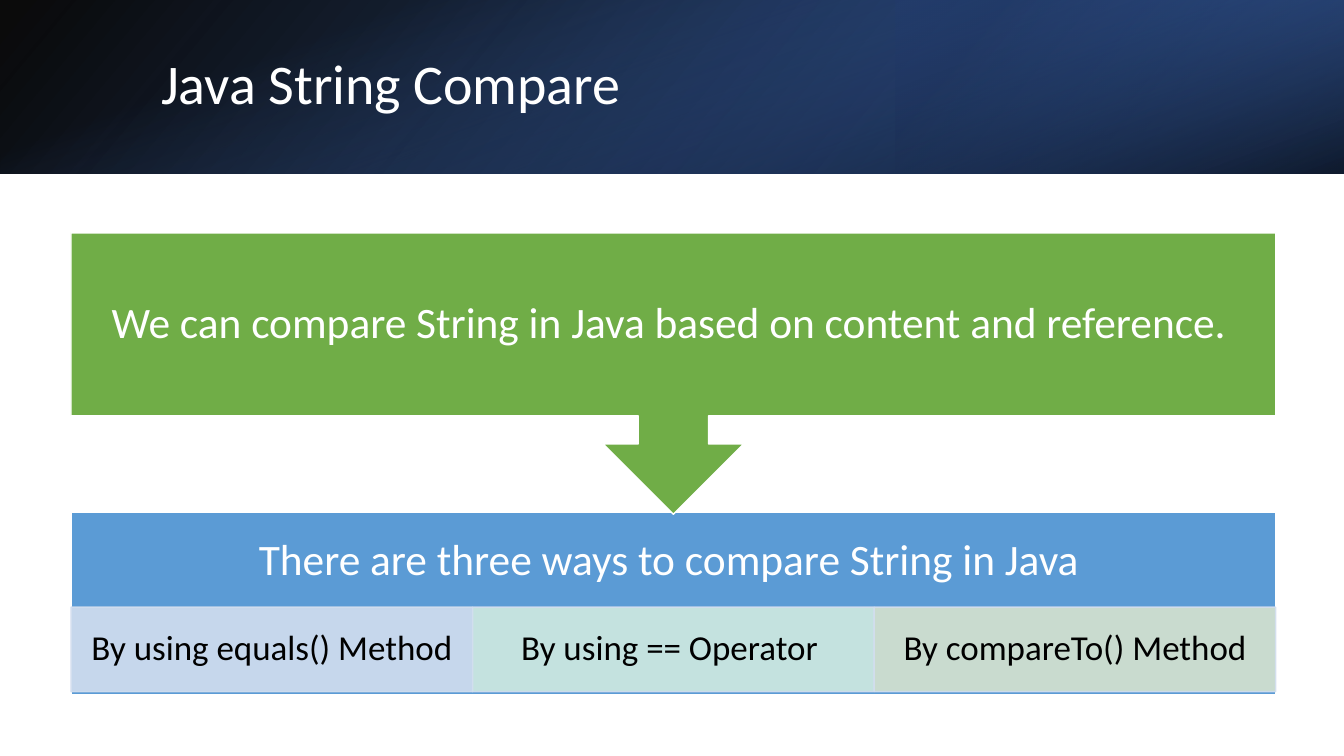
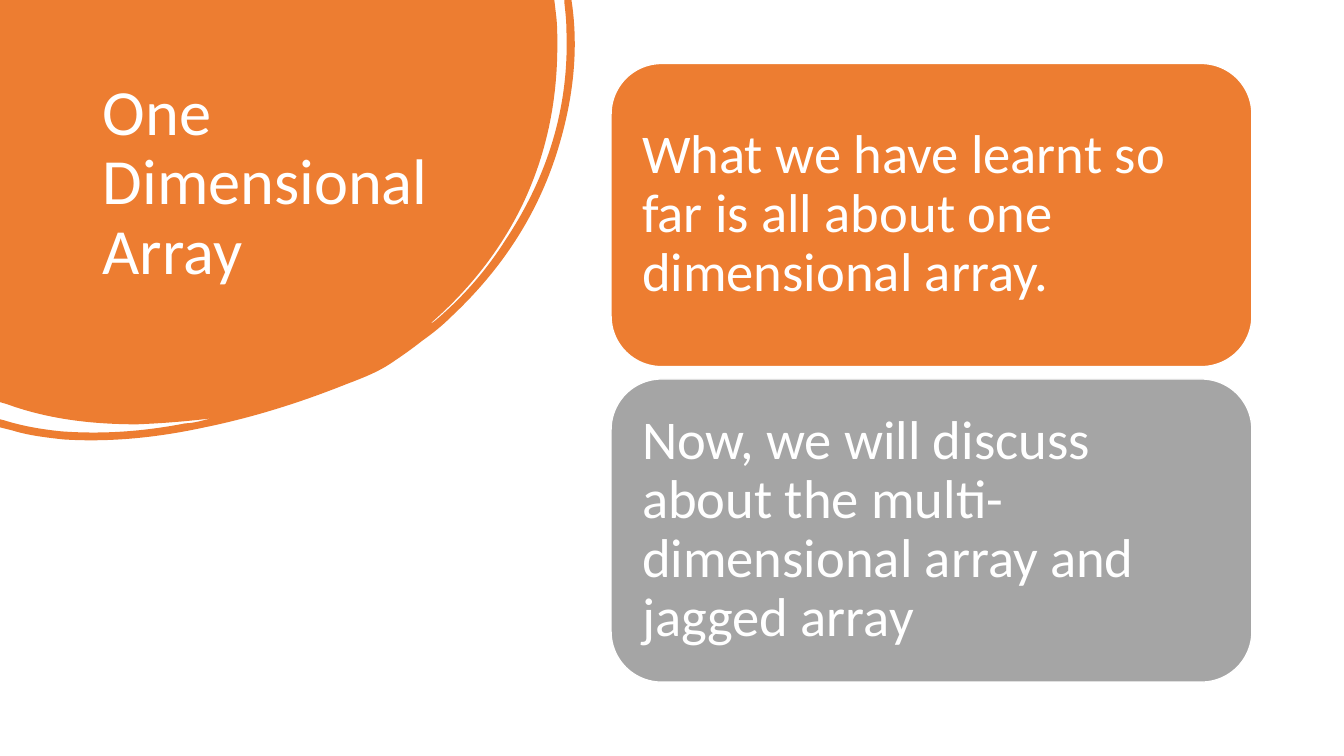
from lxml import etree
from pptx import Presentation
from pptx.dml.color import RGBColor
from pptx.enum.shapes import MSO_SHAPE
from pptx.enum.text import MSO_ANCHOR, PP_ALIGN
from pptx.oxml.ns import qn
from pptx.util import Cm, Pt

RECT, ROUNDED = MSO_SHAPE.RECTANGLE, MSO_SHAPE.ROUNDED_RECTANGLE
CALLOUT = MSO_SHAPE.DOWN_ARROW_CALLOUT
LEFT, CENTER = PP_ALIGN.LEFT, PP_ALIGN.CENTER
TOP, MIDDLE = MSO_ANCHOR.TOP, MSO_ANCHOR.MIDDLE

FONT = "Calibri"
COLORS = {
    "white": "FFFFFF", "black": "000000", "navy": "203864", "deep": "2F5597",
    "royal": "4472C4", "sky": "5B9BD5", "green": "70AD47", "orange": "ED7D31",
    "gray": "A5A5A5", "ice": "D2DEEF", "mint": "D0EAE1", "sage": "D5E3CF",
}
RGB = {name: RGBColor.from_string(value) for name, value in COLORS.items()}
SLIDE_W, SLIDE_H = 33.87, 19.05


def add_block(slide, preset, box, fill, outline="white"):
    """Add a filled, thinly outlined preset shape; box is left, top, width, height in cm."""
    block = slide.shapes.add_shape(preset, *map(Cm, box))
    block.shadow.inherit = False
    block.fill.solid()
    block.fill.fore_color.rgb = RGB[fill]
    block.line.color.rgb = RGB[outline]
    block.line.width = Pt(1)
    return block


def write(shape, text, size, color="white", align=CENTER, anchor=MIDDLE,
          insets=(0.25, 0.13, 0.25, 0.13)):
    """Fill a shape with one paragraph; insets are left, top, right, bottom in cm."""
    frame = shape.text_frame
    frame.word_wrap = True
    frame.vertical_anchor = anchor
    (frame.margin_left, frame.margin_top,
     frame.margin_right, frame.margin_bottom) = map(Cm, insets)
    paragraph = frame.paragraphs[0]
    paragraph.text = text
    paragraph.alignment = align
    paragraph.line_spacing = 0.9
    font = paragraph.runs[0].font
    font.name, font.size, font.color.rgb = FONT, Pt(size), RGB[color]


prs = Presentation()
prs.slide_width, prs.slide_height = Cm(SLIDE_W), Cm(SLIDE_H)
blank = prs.slide_layouts[6]

# Slide 1: comparing strings
compare = prs.slides.add_slide(blank)

# Header band: box, rotation, flipped, angle, stops of (position, colour, opacity %)
BAND_H = 4.38
band_layers = [
    ((0, 0, SLIDE_W, BAND_H), 0, True, 140,
     [(0, "black", 96), (1, "deep", 100)]),
    ((SLIDE_W * 2 / 3, 0, SLIDE_W / 3, BAND_H), 180, True, 320,
     [(0.19, "navy", 68), (1, "royal", 79)]),
    (((SLIDE_W - BAND_H) / 2, (BAND_H - SLIDE_W) / 2, BAND_H, SLIDE_W), 90, False, 340,
     [(0.23, "royal", 0), (0.99, "black", 74)]),
]
for box, rotation, flipped, angle, stops in band_layers:
    layer = add_block(compare, RECT, box, "navy")
    layer.line.fill.background()
    layer.rotation = rotation
    if flipped:
        layer._element.spPr.find(qn("a:xfrm")).set("flipH", "1")
    layer.fill.gradient()
    layer.fill.gradient_angle = 360 - angle
    for stop, (position, color, _) in zip(layer.fill.gradient_stops, stops):
        stop.position = position
        stop.color.rgb = RGB[color]
    for tint, (_, _, opacity) in zip(layer._element.spPr.iter(qn("a:srgbClr")), stops):
        etree.SubElement(tint, qn("a:alpha")).set("val", str(opacity * 1000))

compare_title = compare.shapes.add_textbox(Cm(3.81), Cm(0.95), Cm(27.89), Cm(2.44))
write(compare_title, "Java String Compare", 40, align=LEFT)

FLOW_X, FLOW_W = 1.79, 30.36
ways = add_block(compare, RECT, (FLOW_X, 12.9, FLOW_W, 4.61), "sky")
write(ways, "There are three ways to compare String in Java ", 31,
      insets=(0.61, 0.61, 0.61, 2.73))

methods = [
    ("By using equals() Method ", "ice"),
    ("By using == Operator ", "mint"),
    ("By compareTo() Method", "sage"),
]
method_w = FLOW_W / len(methods)
for i, (method, color) in enumerate(methods):
    cell = add_block(compare, RECT, (FLOW_X + i * method_w, 15.3, method_w, 2.13),
                     color, "ice")
    for tint in cell._element.spPr.iter(qn("a:srgbClr")):
        etree.SubElement(tint, qn("a:alpha")).set("val", "90000")
    write(cell, method, 25, "black", insets=(0.48, 0.08, 0.48, 0.08))

basis = add_block(compare, CALLOUT, (FLOW_X, 5.87, FLOW_W, 7.09), "green")
write(basis, "We can compare String in Java based on content and reference. ", 31,
      insets=(0.61, 0.61, 0.61, 0.61))

# Slide 2: one dimensional array
array = prs.slides.add_slide(blank)

# Corner blob with its ring, in grid units: pairs are lines, sextuples Bézier curves
GRID = Cm(0.0254)
BLOB_W, BLOB_H = 571, 437
outline = [
    (550, 0), (552, 17),
    (553, 26, 553, 36, 553, 45), (553, 101, 542, 154, 518, 204),
    (496, 249, 465, 288, 427, 321), (429, 321, 430, 319, 432, 318),
    (459, 295, 482, 269, 501, 239), (543, 176, 565, 107, 562, 30),
    (562, 21, 561, 12, 560, 3),
    (560, 0), (567, 0), (568, 7),
    (574, 54, 568, 102, 553, 150), (533, 214, 497, 268, 448, 314),
    (439, 323, 429, 331, 419, 338), (409, 346, 399, 353, 387, 361),
    (375, 369, 360, 375, 344, 381), (299, 399, 252, 414, 203, 424),
    (157, 434, 110, 439, 63, 436), (45, 434, 28, 432, 12, 427),
    (0, 424), (0, 416), (4, 417),
    (23, 423, 42, 426, 61, 428), (103, 431, 143, 428, 184, 420),
    (189, 420, 193, 419, 198, 418), (202, 417, 206, 416, 210, 415),
    (186, 418, 161, 420, 136, 421), (92, 421, 48, 416, 7, 401),
    (0, 399),
]
builder = array.shapes.build_freeform(0, 0, scale=GRID)
builder.add_line_segments([segment[-2:] for segment in outline], close=True)
blob = builder.convert_to_shape()
blob.width, blob.height = BLOB_W * GRID, BLOB_H * GRID
contour = next(blob._element.spPr.iter(qn("a:path")))
contour.set("w", str(BLOB_W))
contour.set("h", str(BLOB_H))
for edge, segment in zip(contour.findall(qn("a:lnTo")), outline):
    if len(segment) == 6:
        curve = etree.Element(qn("a:cubicBezTo"))
        for x, y in zip(segment[::2], segment[1::2]):
            etree.SubElement(curve, qn("a:pt"), x=str(x), y=str(y))
        contour.replace(edge, curve)
blob.shadow.inherit = False
blob.fill.solid()
blob.fill.fore_color.rgb = RGB["orange"]
blob.line.fill.background()

array_title = array.shapes.add_textbox(Cm(2.34), Cm(1.88), Cm(8.94), Cm(5.64))
write(array_title, "One Dimensional Array", 46, align=LEFT, anchor=TOP)

cards = [
    ("What we have learnt so far is all about one dimensional array.", "orange"),
    ("Now, we will discuss about the multi-dimensional array and jagged array", "gray"),
]
CARD_H, CARD_GAP = 7.64, 0.31
for i, (message, color) in enumerate(cards):
    card = add_block(array, ROUNDED,
                     (15.4, 1.6 + i * (CARD_H + CARD_GAP), 16.15, CARD_H), color)
    write(card, message, 39, align=LEFT, insets=(0.41, 0.41, 0.41, 0.41))

prs.save("out.pptx")
